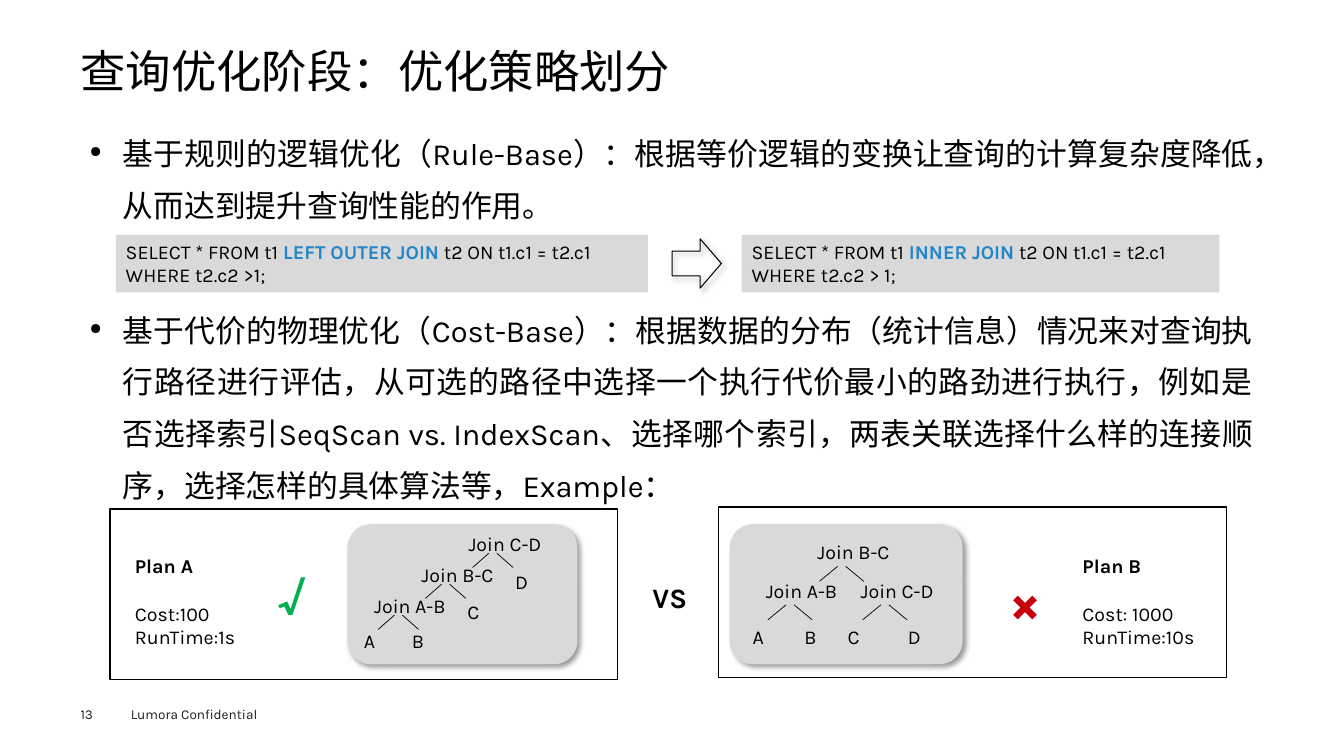
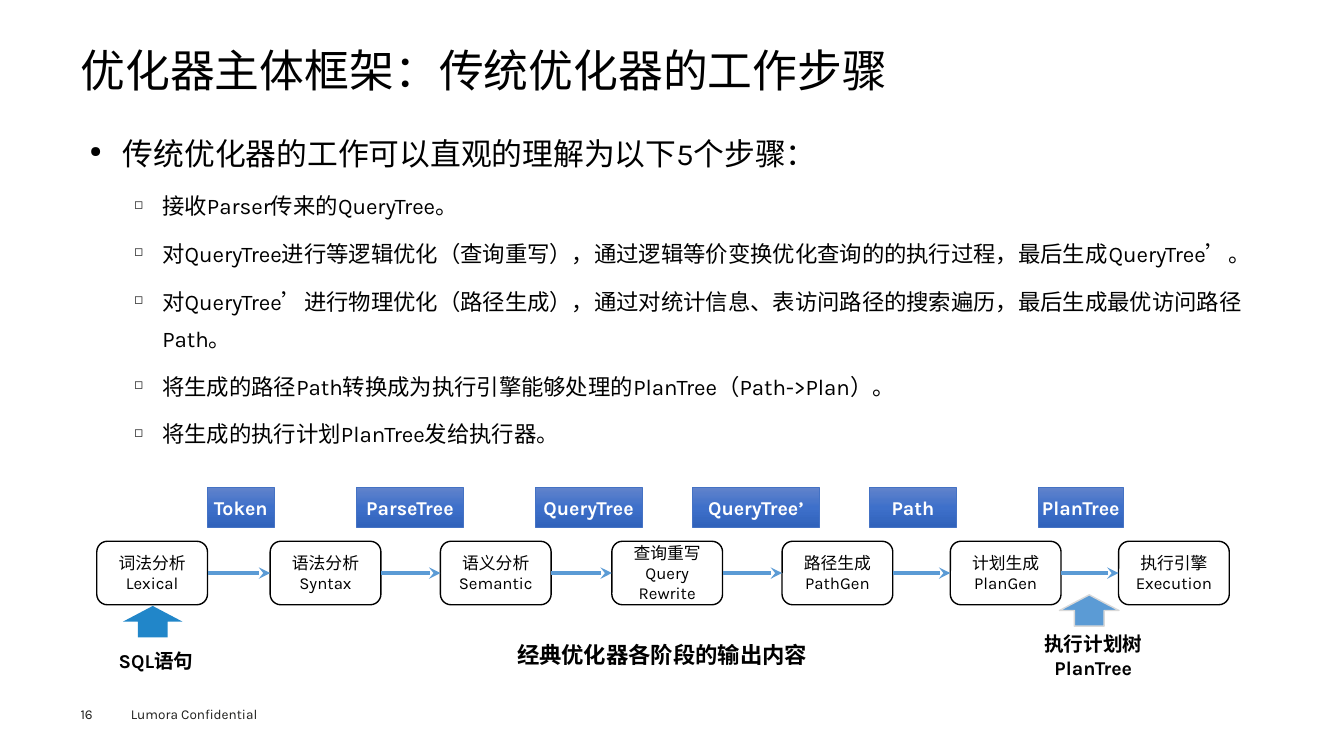
from itertools import pairwise

from pptx import Presentation
from pptx.dml.color import RGBColor
from pptx.enum.lang import MSO_LANGUAGE_ID as Language
from pptx.enum.shapes import MSO_CONNECTOR as Connector, MSO_SHAPE as Shape
from pptx.enum.text import MSO_ANCHOR as Anchor, PP_ALIGN as Align
from pptx.oxml import parse_xml
from pptx.oxml.ns import nsdecls, qn
from pptx.util import Cm, Pt

BLACK, WHITE, GREY = "000000", "FFFFFF", "D9D9D9"
BLUE, SKY, NAVY = "2186C9", "5B9BD5", "4472C4"
GREEN, RED, INK = "00B050", "C7000B", "1D1D1B"
GRADIENT = ((0, "6183CB"), (50, "3E70CA"), (100, "3062BB"))
FONT = "Karla"
MAIN_BULLET = dict(size=22, align=Align.JUSTIFY, before=7.9, spacing=1.4,
                   bullet="●", indent=0.84, hang=0.84)
SUB_BULLET = dict(size=16, before=7.2, spacing=1.4,
                  bullet="◻", indent=1.83, hang=0.71)


def rgb(value):
    return RGBColor.from_string(value)


def element(xml):
    tag, rest = xml[:xml.index(">")], xml[xml.index(">"):]
    if tag.endswith("/"):
        tag, rest = tag[:-1], "/" + rest
    return parse_xml(f"{tag} {nsdecls('a')}{rest}")


def write(frame, text, size=14, bold=False, color=BLACK, align=None, before=None,
          spacing=None, bullet=None, indent=0, hang=0, highlight=None):
    for line in text.split("\n"):
        paragraph = frame.paragraphs[0]
        if paragraph.runs:
            paragraph = frame.add_paragraph()
        paragraph.alignment = align
        paragraph.line_spacing = spacing
        if before is not None:
            paragraph.space_before = Pt(before)
        if bullet:
            properties = paragraph._p.get_or_add_pPr()
            properties.set("marL", str(Cm(indent)))
            properties.set("indent", str(-Cm(hang)))
            properties.append(element('<a:buSzPct val="50000"/>'))
            properties.append(element(f'<a:buChar char="{bullet}"/>'))
        parts = line.partition(highlight) if highlight else (line,)
        for part in filter(None, parts):
            marked = part == highlight
            run = paragraph.add_run()
            run.text = part
            font = run.font
            font.name, font.size = FONT, Pt(size)
            font.bold = bold or marked
            font.color.rgb = rgb(BLUE if marked else color)
            font.language_id = Language.SIMPLIFIED_CHINESE


class Deck:
    def __init__(self):
        self.presentation = Presentation()
        self.presentation.slide_width = Cm(33.87)
        self.presentation.slide_height = Cm(19.05)
        self.slide = None

    def new_slide(self, title, number, title_size=32):
        layout = self.presentation.slide_layouts[6]
        self.slide = self.presentation.slides.add_slide(layout)
        self.text(3.05, 17.65, 4.06, 0.69, "Lumora Confidential", size=9.7, color=INK)
        self.text(2.03, 17.78, 1.4, 0.41, str(number), inset=(0, 0),
                  size=9.7, color=INK)
        self.text(2.03, 1.24, 29.79, 1.35, title, inset=(0, 0),
                  size=title_size, spacing=0.9)

    def text(self, left, top, width, height, text, inset=(0.25, 0.13), wrap=True,
             **style):
        box = self.slide.shapes.add_textbox(Cm(left), Cm(top), Cm(width), Cm(height))
        frame = box.text_frame
        frame.word_wrap = wrap
        frame.margin_left = frame.margin_right = Cm(inset[0])
        frame.margin_top = frame.margin_bottom = Cm(inset[1])
        write(frame, text, **style)
        return frame

    def body(self, height, text):
        return self.text(2.03, 2.92, 29.79, height, text, inset=(0.23, 0.1),
                         **MAIN_BULLET)

    def shape(self, kind, left, top, width, height, fill=None, line=None,
              line_width=1, shadow=False, text=None, anchor=Anchor.MIDDLE,
              wrap=True, **style):
        shape = self.slide.shapes.add_shape(kind, Cm(left), Cm(top),
                                            Cm(width), Cm(height))
        shape.shadow.inherit = False
        properties = shape._element.spPr
        if shadow:
            properties.find(qn("a:effectLst")).append(element(
                f'<a:outerShdw blurRad="{Pt(4)}" dist="{Pt(3)}" dir="2700000" '
                f'algn="tl" rotWithShape="0"><a:srgbClr val="{BLACK}">'
                '<a:alpha val="40000"/></a:srgbClr></a:outerShdw>'))
        if fill == GRADIENT:
            stops = "".join(f'<a:gs pos="{place * 1000}"><a:srgbClr val="{color}"/></a:gs>'
                            for place, color in GRADIENT)
            properties.find(qn("a:prstGeom")).addnext(element(
                f'<a:gradFill rotWithShape="1"><a:gsLst>{stops}</a:gsLst>'
                '<a:lin ang="5400000" scaled="0"/></a:gradFill>'))
        elif fill:
            shape.fill.solid()
            shape.fill.fore_color.rgb = rgb(fill)
        else:
            shape.fill.background()
        if line:
            shape.line.color.rgb = rgb(line)
            shape.line.width = Pt(line_width)
        else:
            shape.line.fill.background()
        if text:
            shape.text_frame.word_wrap = wrap
            shape.text_frame.vertical_anchor = anchor
            write(shape.text_frame, text, **style)
        return shape

    def line(self, start=(0, 0), end=(0, 0), color=BLACK, width=0.5):
        connector = self.slide.shapes.add_connector(
            Connector.STRAIGHT, *(Cm(value) for value in (*start, *end)))
        connector.line.color.rgb = rgb(color)
        connector.line.width = Pt(width)
        connector._element.spPr.append(element("<a:effectLst/>"))
        return connector

    def arrow(self, source, target):
        connector = self.line(color=SKY, width=2.75)
        connector.begin_connect(source, 3)
        connector.end_connect(target, 1)
        connector.line._get_or_add_ln().append(element('<a:tailEnd type="stealth"/>'))

    def query(self, left, width, join, condition):
        self.shape(Shape.RECTANGLE, left, 5.92, width, 1.45, fill=GREY,
                   text=f"SELECT * FROM t1 {join} t2 ON t1.c1 = t2.c1\n{condition}",
                   anchor=Anchor.TOP, highlight=join, align=Align.LEFT)

    def tree(self, left, width, joins, leaves, reach, drop, lift):
        self.shape(Shape.ROUNDED_RECTANGLE, left, 13.21, width, 3.53,
                   fill=GREY, shadow=True)
        for name, x, y in joins:
            self.text(x - 0.86, y - lift, 2.7, 0.88, f"Join {name}")
            for side in (-1, 1):
                self.line((x + side * 0.1, y), (x + side * reach, y + drop))
        for name, x, y in leaves:
            self.text(x, y, 1.2, 0.88, name)

    def plan(self, left, name, cost):
        frame = self.text(left, 13.84, 3.61, 2.64, name, bold=True)
        write(frame, cost[0], before=16.8)
        write(frame, cost[1])

    def mark(self, left, top, width, height, symbol, **style):
        self.text(left, top, width, height, symbol, wrap=False, bold=True,
                  align=Align.CENTER, **style)


def strategy_slide(deck):
    deck.new_slide("查询优化阶段：优化策略划分", 13, title_size=32.4)
    body = deck.body(9.96, "基于规则的逻辑优化（Rule-Base）：根据等价逻辑的变换让查询的计算复杂度降低，"
                           "从而达到提升查询性能的作用。")
    write(body, "基于代价的物理优化（Cost-Base）：根据数据的分布（统计信息）情况来对查询执行路径进行评估，"
                "从可选的路径中选择一个执行代价最小的路劲进行执行，例如是否选择索引SeqScan vs. IndexScan、"
                "选择哪个索引，两表关联选择什么样的连接顺序，选择怎样的具体算法等，Example：",
          **{**MAIN_BULLET, "before": 52.5})

    deck.query(2.92, 13.41, "LEFT OUTER JOIN", "WHERE t2.c2 >1;")
    deck.query(18.69, 12.04, "INNER JOIN", "WHERE t2.c2 > 1;")
    rewrite = deck.shape(Shape.RIGHT_ARROW, 16.94, 6.02, 1.24, 1.24,
                         line=BLACK, line_width=0.75, shadow=True)
    rewrite.adjustments[1] = 0.43

    for left, top in ((2.77, 12.83), (18.11, 12.78)):
        deck.shape(Shape.RECTANGLE, left, top, 12.8, 4.29, line=BLACK)
    chain = [(name, 12.42 - 1.19 * step, 13.94 + 0.78 * step)
             for step, name in enumerate(("C-D", "B-C", "A-B"))]
    deck.tree(8.76, 5.79, chain,
              (("A", 8.92, 15.72), ("B", 10.13, 15.72),
               ("C", 11.53, 14.99), ("D", 12.73, 14.22)),
              reach=0.51, drop=0.36, lift=0.66)
    deck.tree(18.39, 5.87,
              (("B-C", 21.21, 14.27), ("A-B", 19.91, 15.24), ("C-D", 22.3, 15.24)),
              [(name, x, 15.62) for name, x in
               zip("ABCD", (18.72, 20.02, 21.11, 22.63))],
              reach=0.56, drop=0.38, lift=0.79)

    deck.plan(3.15, "Plan A", ("Cost:100", "RunTime:1s"))
    deck.plan(27.03, "Plan B", ("Cost: 1000", "RunTime:10s"))
    deck.mark(15.98, 14.5, 1.8, 1.12, "VS", size=20)
    deck.mark(6.78, 14.25, 1.14, 1.63, "√", size=32, color=GREEN)
    deck.mark(24.87, 14.15, 1.93, 1.96, "×", size=40, color=RED)


def framework_slide(deck):
    deck.new_slide("优化器主体框架：传统优化器的工作步骤", 16)
    body = deck.body(14.33, "传统优化器的工作可以直观的理解为以下5个步骤：")
    for step in (
        "接收Parser传来的QueryTree。",
        "对QueryTree进行等逻辑优化（查询重写），通过逻辑等价变换优化查询的的执行过程，最后生成QueryTree’。",
        "对QueryTree’进行物理优化（路径生成），通过对统计信息、表访问路径的搜索遍历，最后生成最优访问路径Path。",
        "将生成的路径Path转换成为执行引擎能够处理的PlanTree（Path->Plan）。",
        "将生成的执行计划PlanTree发给执行器。",
    ):
        write(body, step, **SUB_BULLET)

    stages = (
        (2.44, "词法分析\nLexical"), (6.81, "语法分析\nSyntax"),
        (11.1, "语义分析\nSemantic"), (15.42, "查询重写\nQuery\nRewrite"),
        (19.71, "路径生成\nPathGen"), (23.95, "计划生成\nPlanGen"),
        (28.19, "执行引擎\nExecution"),
    )
    boxes = [deck.shape(Shape.ROUNDED_RECTANGLE, left, 13.64, 2.79, 1.6, fill=WHITE,
                        line=BLACK, text=label, size=12, align=Align.CENTER)
             for left, label in stages]
    for source, target in pairwise(boxes):
        deck.arrow(source, target)

    for left, width, output in (
        (5.23, 1.68, "Token"), (8.99, 2.69, "ParseTree"), (13.49, 2.69, "QueryTree"),
        (17.45, 3.2, "QueryTree’"), (21.92, 2.18, "Path"), (26.16, 2.16, "PlanTree"),
    ):
        deck.shape(Shape.RECTANGLE, left, 12.29, width, 0.99, fill=GRADIENT, line=NAVY,
                   line_width=0.5, text=output, wrap=False, bold=True, color=WHITE,
                   align=Align.CENTER)

    deck.shape(Shape.UP_ARROW, 3.1, 15.27, 1.5, 0.79, fill=BLUE)
    deck.shape(Shape.UP_ARROW, 26.7, 14.99, 1.5, 0.79, fill=SKY, line=GREY)
    deck.text(2.74, 16.21, 2.41, 0.86, "SQL语句", bold=True)
    deck.mark(12.73, 16.03, 7.92, 0.94, "经典优化器各阶段的输出内容", size=16)
    deck.text(24.1, 15.8, 6.91, 1.45, "执行计划树\nPlanTree", bold=True,
              align=Align.CENTER)


def main():
    deck = Deck()
    strategy_slide(deck)
    framework_slide(deck)
    deck.presentation.save("out.pptx")


if __name__ == "__main__":
    main()
